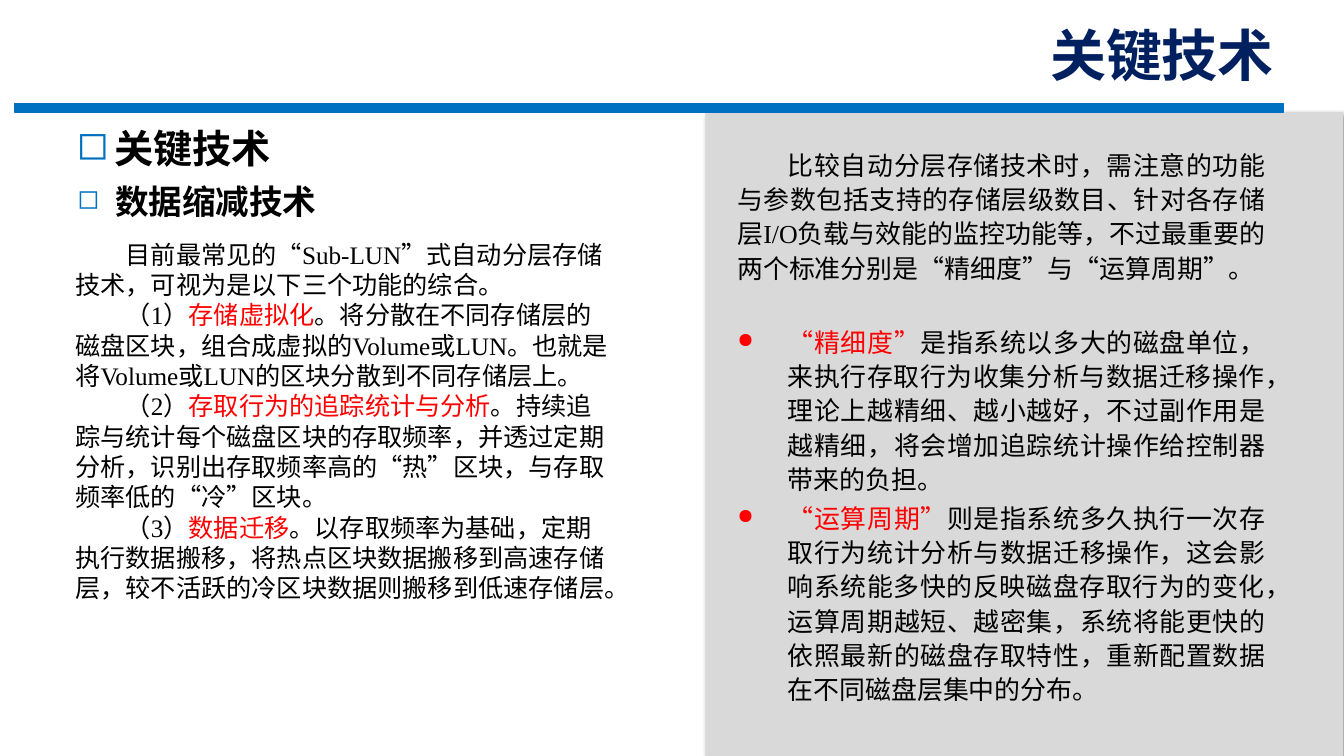
import pptx
import pptx.dml.color
import pptx.enum.lang
import pptx.enum.shapes
import pptx.enum.text
import pptx.util
from pptx.util import Cm, Pt
import lxml.etree

# Content: each paragraph is a list of (text, colour) runs
COLOURS = {"black": "000000", "red": "FF0000", "navy": "002060",
           "blue": "0070C0", "grey": "D9D9D9"}

TITLE = "关键技术"
HEADINGS = [  # text, size, bullet percent, (left, top, width, height)
    ("关键技术", 28, 100, (1.68, 3.0, 5.49, 1.45)),
    ("数据缩减技术", 24, 80, (1.7, 4.42, 6.63, 1.27)),
]
TIERING = [
    [("目前最常见的“Sub-LUN”式自动分层存储技术，可视为是以下三个功能的综合。", "black")],
    [("（1）", "black"), ("存储虚拟化", "red"),
     ("。将分散在不同存储层的磁盘区块，组合成虚拟的Volume或LUN。"
      "也就是将Volume或LUN的区块分散到不同存储层上。", "black")],
    [("（2）", "black"), ("存取行为的追踪统计与分析", "red"),
     ("。持续追踪与统计每个磁盘区块的存取频率，并透过定期分析，"
      "识别出存取频率高的“热”区块，与存取频率低的“冷”区块。", "black")],
    [("（3）", "black"), ("数据迁移", "red"),
     ("。以存取频率为基础，定期执行数据搬移，将热点区块数据搬移到高速存储层，"
      "较不活跃的冷区块数据则搬移到低速存储层。", "black")],
]
CRITERIA_INTRO = [
    ("比较自动分层存储技术时，需注意的功能与参数包括支持的存储层级数目、"
     "针对各存储层I/O负载与效能的监控功能等，不过最重要的两个标准分别是"
     "“精细度”与“运算周期”。", "black")]
CRITERIA = [  # space before, runs
    (28.5, [("“精细度”", "red"),
            ("是指系统以多大的磁盘单位，来执行存取行为收集分析与数据迁移操作，"
             "理论上越精细、越小越好，不过副作用是越精细，"
             "将会增加追踪统计操作给控制器带来的负担。", "black")]),
    (3.5, [("“运算周期”", "red"),
           ("则是指系统多久执行一次存取行为统计分析与数据迁移操作，"
            "这会影响系统能多快的反映磁盘存取行为的变化，运算周期越短、越密集，"
            "系统将能更快的依照最新的磁盘存取特性，"
            "重新配置数据在不同磁盘层集中的分布。", "black")]),
]
ASIAN_FONT = "Noto Sans CJK SC"
BODY_FONT = "Times New Roman"
ALIGN = pptx.enum.text.PP_ALIGN


def rgb(name):
    return pptx.dml.color.RGBColor.from_string(COLOURS[name])


def add_element(parent, tag, **attributes):
    element = lxml.etree.SubElement(parent, pptx.oxml.ns.qn(tag))
    for key, value in attributes.items():
        element.set(key, str(value))
    return element


def add_block(slide, box, fill):
    shape = slide.shapes.add_shape(
        pptx.enum.shapes.MSO_SHAPE.RECTANGLE, *map(Cm, box))
    shape.shadow.inherit = False
    shape.fill.solid()
    shape.fill.fore_color.rgb = rgb(fill)
    return shape


def add_text_frame(slide, box, margins=(0.25, 0.13), wrap=True):
    frame = slide.shapes.add_textbox(*map(Cm, box)).text_frame
    frame.word_wrap = wrap
    frame.margin_left = frame.margin_right = Cm(margins[0])
    frame.margin_top = frame.margin_bottom = Cm(margins[1])
    return frame


def add_paragraph(frame, runs, size, font, bold=False, align=ALIGN.LEFT,
                  left=0, first=0, bullet=None, spacing=None, before=0):
    """bullet is (character, percent of text size, colour or None)."""
    paragraph = frame.paragraphs[0]
    if paragraph.runs:
        paragraph = frame.add_paragraph()
    paragraph.alignment = align
    if spacing:
        paragraph.line_spacing = Pt(spacing)
    paragraph.space_before = Pt(before)
    properties = paragraph._p.get_or_add_pPr()
    properties.set("marL", str(Cm(left)))
    properties.set("indent", str(Cm(first)))
    if bullet:
        character, percent, colour = bullet
        if colour:
            add_element(add_element(properties, "a:buClr"), "a:srgbClr",
                        val=COLOURS[colour])
        add_element(properties, "a:buSzPct", val=percent * 1000)
        add_element(properties, "a:buFont", typeface="OpenSymbol")
        add_element(properties, "a:buChar", char=character)
    for text, colour in runs:
        run = paragraph.add_run()
        run.text = text
        run.font.size = Pt(size)
        run.font.bold = bold
        run.font.name = font
        run.font.color.rgb = rgb(colour)
        run.font.language_id = pptx.enum.lang.MSO_LANGUAGE_ID.SIMPLIFIED_CHINESE
        add_element(run._r.get_or_add_rPr(), "a:ea", typeface=ASIAN_FONT)


def main():
    presentation = pptx.Presentation()
    presentation.slide_width = Cm(33.88)
    presentation.slide_height = Cm(19.05)
    slide = presentation.slides.add_slide(presentation.slide_layouts[6])

    # Grey panel with a soft shadow
    panel = add_block(slide, (17.78, 2.82, 16.08, 16.23), "grey")
    panel.line.fill.background()
    effects = panel._element.spPr.find(pptx.oxml.ns.qn("a:effectLst"))
    shadow = add_element(effects, "a:outerShdw", blurRad=Pt(4), dist=Pt(3),
                         dir=45 * 60000, algn="tl", rotWithShape=0)
    add_element(add_element(shadow, "a:srgbClr", val=COLOURS["black"]),
                "a:alpha", val=40000)

    # Left column: three functions of tiering
    frame = add_text_frame(slide, (1.65, 5.89, 13.97, 12.75))
    for runs in TIERING:
        add_paragraph(frame, runs, 18, BODY_FONT, first=1.27, spacing=21.65)

    # Right column: two criteria
    frame = add_text_frame(slide, (18.26, 3.51, 13.97, 15.54), (0.33, 0.18))
    add_paragraph(frame, CRITERIA_INTRO, 18.5, BODY_FONT,
                  align=ALIGN.JUSTIFY, first=1.27, spacing=24.45)
    for before, runs in CRITERIA:
        add_paragraph(frame, runs, 18.5, BODY_FONT, align=ALIGN.JUSTIFY,
                      left=1.27, first=-1.27, bullet=("●", 80, "red"),
                      spacing=24.45, before=before)

    # Title and its rule
    rule = add_block(slide, (0.36, 2.62, 32, 0.2), "blue")
    rule.line.color.rgb = rgb("blue")
    rule.line.width = Pt(1)
    frame = add_text_frame(slide, (16.28, 0.86, 16.08, 1.47))
    frame.vertical_anchor = pptx.enum.text.MSO_ANCHOR.BOTTOM
    add_paragraph(frame, [(TITLE, "navy")], 40, "Lato", bold=True,
                  align=ALIGN.RIGHT)

    # Headings of the left column
    for text, size, percent, box in HEADINGS:
        frame = add_text_frame(slide, box, wrap=False)
        frame.auto_size = pptx.enum.text.MSO_AUTO_SIZE.SHAPE_TO_FIT_TEXT
        add_paragraph(frame, [(text, "black")], size, ASIAN_FONT, bold=True,
                      left=0.95, first=-0.95, bullet=("◻", percent, "blue"))

    presentation.save("out.pptx")


if __name__ == "__main__":
    main()
